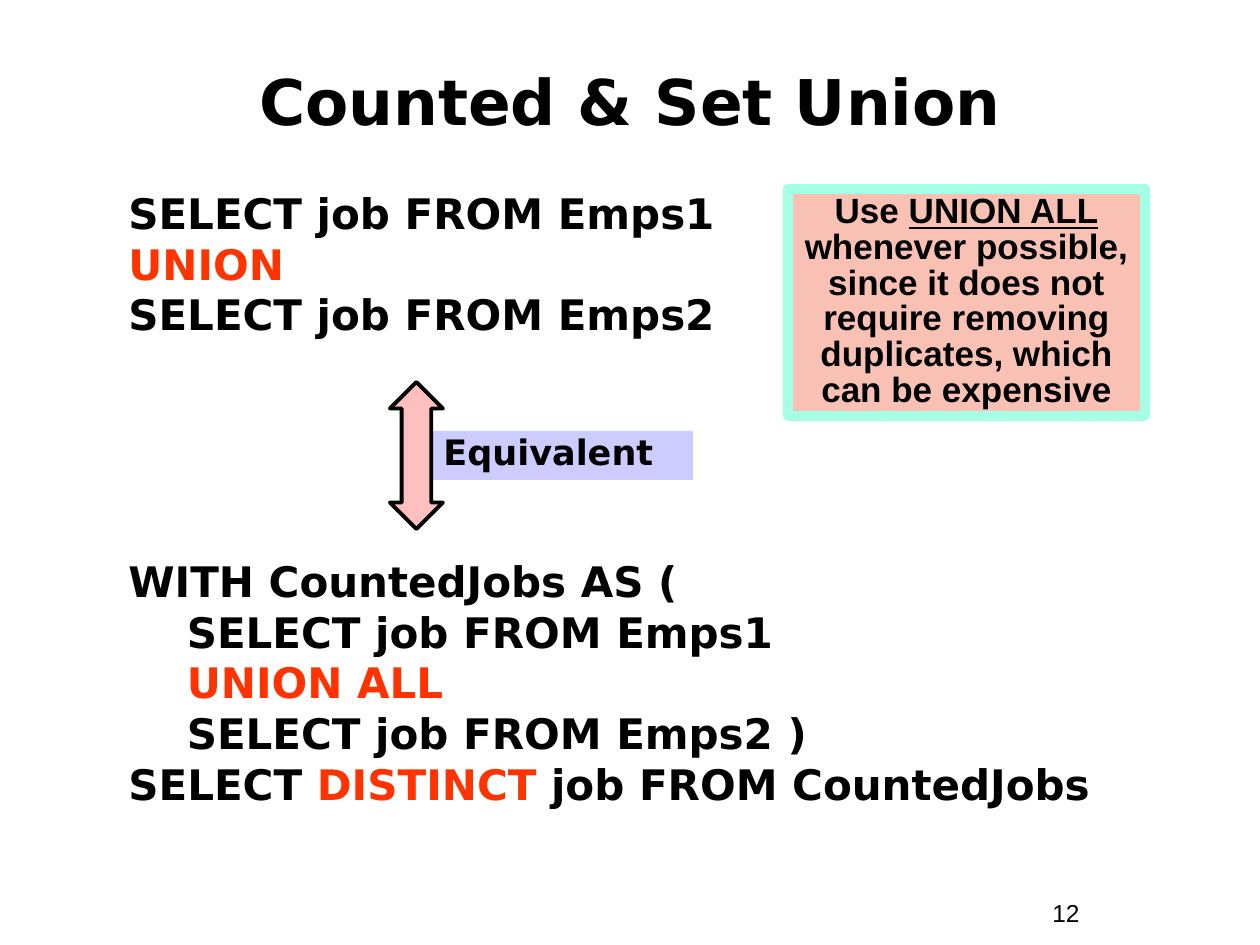
from pptx import Presentation
from pptx import util as u
from pptx.dml.color import RGBColor
from pptx.enum import shapes, text

PX = 914400 / 126
BLACK = RGBColor(0x00, 0x00, 0x00)
WHITE = RGBColor(0xFF, 0xFF, 0xFF)
KEYWORD = RGBColor(0xFF, 0x33, 0x00)
LAVENDER = RGBColor(0xCC, 0xCC, 0xFF)
PINK = RGBColor(0xFF, 0xBF, 0xBF)
SALMON = RGBColor(0xF8, 0xC1, 0xB4)
MINT = RGBColor(0xA5, 0xFF, 0xE7)


def px(*lengths):
    return [u.Emu(round(n * PX)) for n in lengths]


def write(shape, lines, size=24, font="DejaVu Sans", bold=True, spacing=0.85,
          before=4.5, align=text.PP_ALIGN.LEFT, anchor=text.MSO_ANCHOR.TOP):
    """Each line is a list of (words, colour, underline) runs."""
    frame = shape.text_frame
    frame.word_wrap = True
    frame.vertical_anchor = anchor
    for i, runs in enumerate(lines):
        para = frame.add_paragraph() if i else frame.paragraphs[0]
        para.alignment = align
        para.line_spacing = spacing
        if i:
            para.space_before = u.Pt(before)
        for words, colour, underline in runs:
            run = para.add_run()
            run.text = words
            run.font.name = font
            run.font.size = u.Pt(size)
            run.font.bold = bold
            run.font.underline = underline
            run.font.color.rgb = colour


prs = Presentation()
prs.slide_width, prs.slide_height = px(1260, 945)
slide = prs.slides.add_slide(prs.slide_layouts[6])
slide.background.fill.solid()
slide.background.fill.fore_color.rgb = WHITE
parts = slide.shapes

# Page number and title
page_number = parts.add_textbox(*px(1040, 892, 116, 43))
write(page_number, [[("12", BLACK, False)]], size=14, font="Arial",
      bold=False, spacing=1.0)
title = parts.add_textbox(*px(42, 42, 1176, 116))
write(title, [[("Counted & Set Union", BLACK, False)]], size=36, spacing=1.0,
      align=text.PP_ALIGN.CENTER, anchor=text.MSO_ANCHOR.MIDDLE)

# The two equivalent queries
set_union = [
    [("SELECT job FROM Emps1", BLACK, False)],
    [("UNION", KEYWORD, False)],
    [("SELECT job FROM Emps2", BLACK, False)],
]
counted_union = [
    [("WITH CountedJobs AS (", BLACK, False)],
    [("    SELECT job FROM Emps1", BLACK, False)],
    [("    ", BLACK, False), ("UNION ALL", KEYWORD, False)],
    [("    SELECT job FROM Emps2 )", BLACK, False)],
    [("SELECT ", BLACK, False), ("DISTINCT", KEYWORD, False),
     (" job FROM CountedJobs", BLACK, False)],
]
for query, top, width, height in ((set_union, 189, 945, 158),
                                  (counted_union, 557, 1029, 258)):
    write(parts.add_textbox(*px(116, top, width, height)), query)

# Equivalence label, arrow and advice box
RECT = shapes.MSO_SHAPE.RECTANGLE
ARROW = shapes.MSO_SHAPE.UP_DOWN_ARROW
drawn = []
for preset, box, fill, line, weight in (
    (RECT, (431, 431, 262, 49), LAVENDER, None, 0),
    (ARROW, (390, 382, 53, 147), PINK, BLACK, 2.25),
    (RECT, (788, 189, 357, 227), SALMON, MINT, 6),
):
    shape = parts.add_shape(preset, *px(*box))
    shape.shadow.inherit = False
    shape.fill.solid()
    shape.fill.fore_color.rgb = fill
    if line is None:
        shape.line.fill.background()
    else:
        shape.line.color.rgb = line
        shape.line.width = u.Pt(weight)
    drawn.append(shape)

equivalent, arrow, advice = drawn
arrow.adjustments[0] = 0.5
arrow.adjustments[1] = 0.56
write(equivalent, [[("Equivalent", BLACK, False)]], size=20)
write(advice, [[
    ("Use ", BLACK, False),
    ("UNION ALL", BLACK, True),
    (" whenever possible, since it does not require removing duplicates, "
     "which can be expensive", BLACK, False),
]], size=20, font="Arial", align=text.PP_ALIGN.CENTER)

prs.save("out.pptx")
